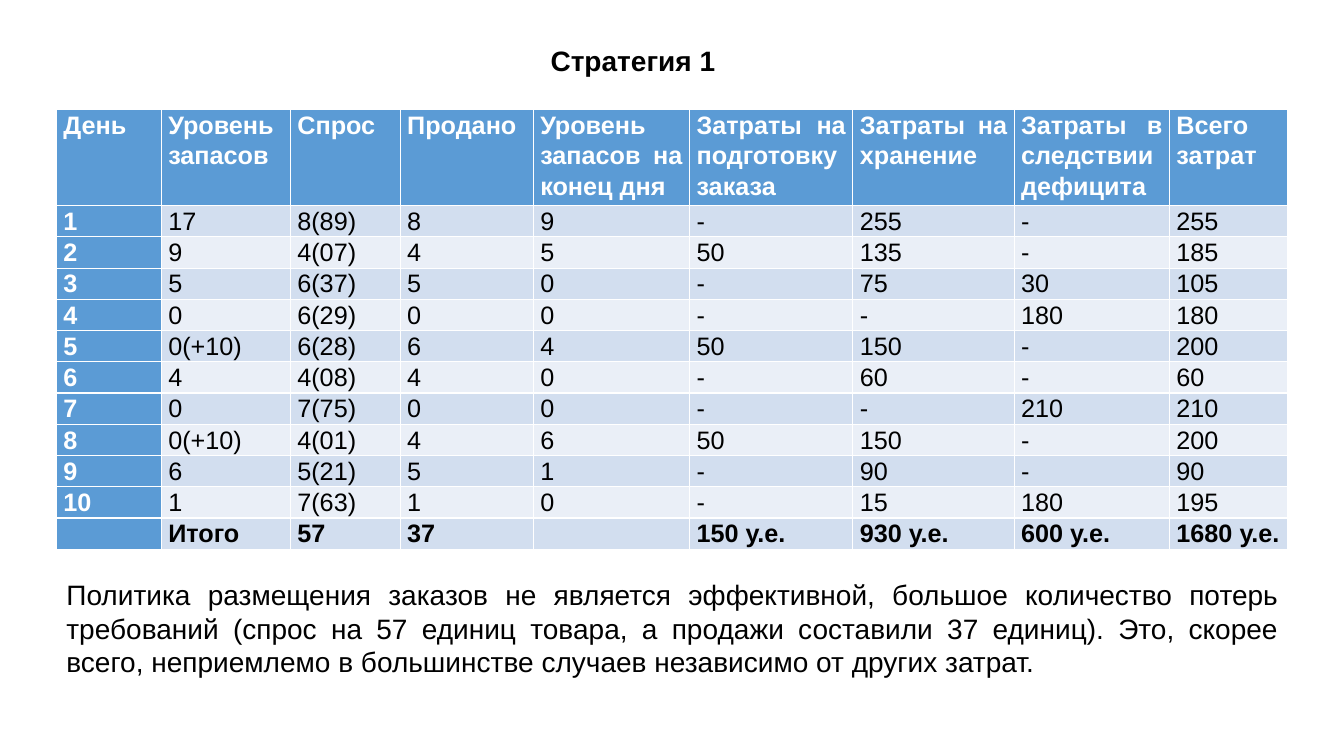
from pptx import Presentation
from pptx.dml.color import RGBColor
from pptx.enum.text import MSO_AUTO_SIZE, PP_ALIGN
from pptx.util import Pt

EMU_PER_PX = 9144
LEFT = PP_ALIGN.LEFT
JUSTIFY = PP_ALIGN.JUSTIFY
FIT_SHAPE = MSO_AUTO_SIZE.SHAPE_TO_FIT_TEXT

COLORS = {
    "header": "5B9BD5",
    "odd_row": "D2DEEF",
    "even_row": "EAEFF7",
    "light_text": "FFFFFF",
    "dark_text": "000000",
}

COLUMN_WIDTHS = [104, 128, 109, 132, 155, 162, 160, 154, 117]
HEADER_HEIGHT = 95
ROW_HEIGHT = 31

HEADERS = [
    "День", "Уровень запасов", "Спрос", "Продано",
    "Уровень запасов на конец дня", "Затраты на подготовку заказа",
    "Затраты на хранение", "Затраты в следствии дефицита", "Всего затрат",
]
DAYS = [
    ["1", "17", "8(89)", "8", "9", "-", "255", "-", "255"],
    ["2", "9", "4(07)", "4", "5", "50", "135", "-", "185"],
    ["3", "5", "6(37)", "5", "0", "-", "75", "30", "105"],
    ["4", "0", "6(29)", "0", "0", "-", "-", "180", "180"],
    ["5", "0(+10)", "6(28)", "6", "4", "50", "150", "-", "200"],
    ["6", "4", "4(08)", "4", "0", "-", "60", "-", "60"],
    ["7", "0", "7(75)", "0", "0", "-", "-", "210", "210"],
    ["8", "0(+10)", "4(01)", "4", "6", "50", "150", "-", "200"],
    ["9", "6", "5(21)", "5", "1", "-", "90", "-", "90"],
    ["10", "1", "7(63)", "1", "0", "-", "15", "180", "195"],
]
TOTALS = ["", "Итого", "57", "37", "", "150 у.е.", "930 у.е.", "600 у.е.", "1680 у.е."]
CONCLUSION = (
    "Политика размещения заказов не является эффективной, большое количество "
    "потерь требований (спрос на 57 единиц товара, а продажи составили 37 единиц). "
    "Это, скорее всего, неприемлемо в большинстве случаев независимо от других затрат."
)


def px(value):
    return value * EMU_PER_PX


class SlideBuilder:
    font_name = "Arial"
    table_size = 18
    text_size = 20

    def __init__(self, slide):
        self.slide = slide

    def style(self, paragraph, size, color, bold, alignment):
        paragraph.alignment = alignment
        font = paragraph.font
        font.name = self.font_name
        font.size = Pt(size)
        font.bold = bold
        font.color.rgb = RGBColor.from_string(COLORS[color])

    def text(self, left, top, width, height, text, bold=False, alignment=LEFT, margin_left=10):
        shape = self.slide.shapes.add_textbox(px(left), px(top), px(width), px(height))
        frame = shape.text_frame
        frame.word_wrap = True
        frame.auto_size = FIT_SHAPE
        frame.margin_left = px(margin_left)
        frame.text = text
        self.style(frame.paragraphs[0], self.text_size, "dark_text", bold, alignment)

    def cell(self, cell, text, fill, color, bold):
        cell.margin_left = cell.margin_right = px(7)
        cell.margin_top = cell.margin_bottom = 0
        cell.fill.solid()
        cell.fill.fore_color.rgb = RGBColor.from_string(COLORS[fill])
        cell.text = text
        paragraph = cell.text_frame.paragraphs[0]
        paragraph.line_spacing = 1.07
        self.style(paragraph, self.table_size, color, bold, JUSTIFY)

    def table(self, left, top, widths, rows):
        height = HEADER_HEIGHT + ROW_HEIGHT * (len(rows) - 1)
        shape = self.slide.shapes.add_table(
            len(rows), len(widths), px(left), px(top), px(sum(widths)), px(height))
        table = shape.table
        table.first_col = True
        for column, width in zip(table.columns, widths):
            column.width = px(width)
        for row_index, values in enumerate(rows):
            table.rows[row_index].height = px(ROW_HEIGHT if row_index else HEADER_HEIGHT)
            is_total = row_index == len(rows) - 1
            band = "odd_row" if row_index % 2 else "even_row"
            for column_index, value in enumerate(values):
                is_header = row_index == 0 or column_index == 0
                self.cell(
                    table.cell(row_index, column_index), value,
                    "header" if is_header else band,
                    "light_text" if is_header else "dark_text",
                    is_header or is_total)


def main():
    presentation = Presentation()
    presentation.slide_width = px(1333)
    presentation.slide_height = px(750)
    builder = SlideBuilder(presentation.slides.add_slide(presentation.slide_layouts[6]))
    builder.table(56, 109, COLUMN_WIDTHS, [HEADERS, *DAYS, TOTALS])
    builder.text(56, 568, 1222, 111, CONCLUSION, alignment=JUSTIFY)
    builder.text(529, 38, 208, 44, "Стратегия 1", bold=True, margin_left=17)
    presentation.save("out.pptx")


if __name__ == "__main__":
    main()
